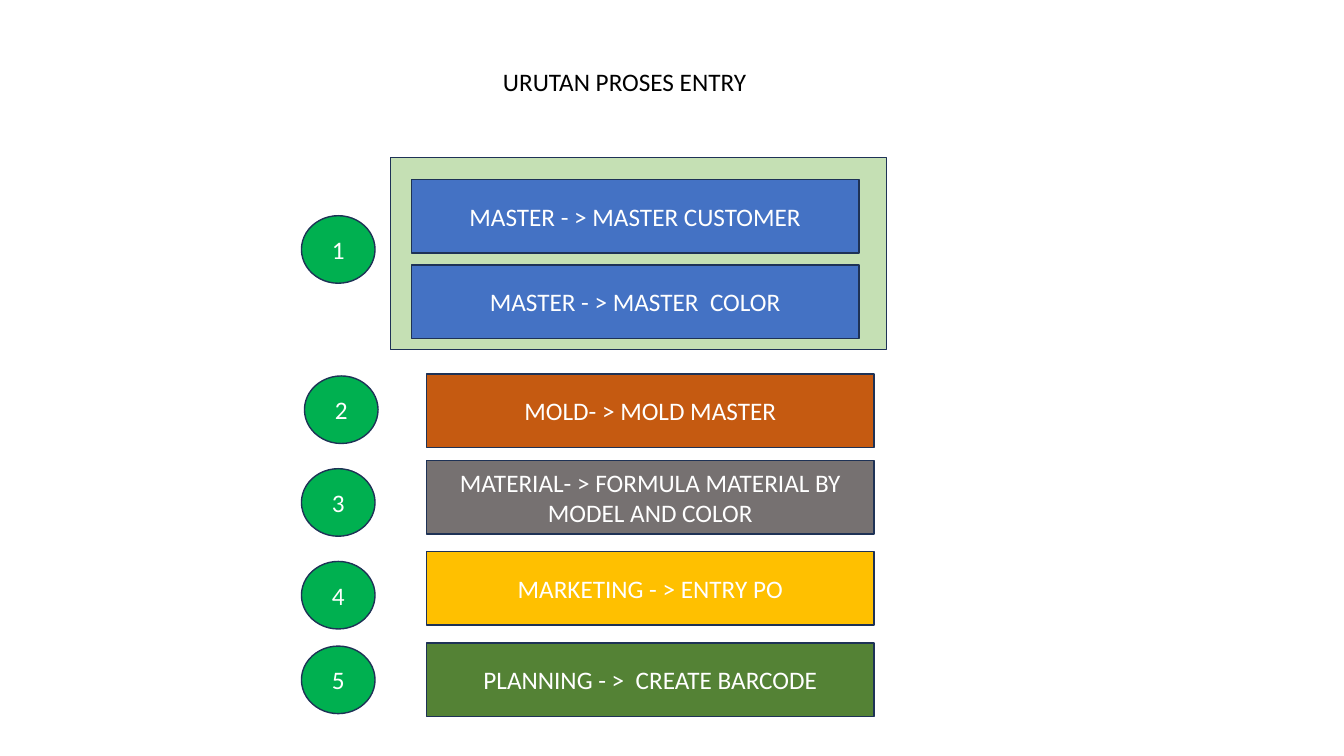
import pptx
import pptx.util
import pptx.dml.color
import pptx.enum.shapes
import pptx.enum.text

Inches = pptx.util.Inches
Pt = pptx.util.Pt
RGBColor = pptx.dml.color.RGBColor
MSO_SHAPE = pptx.enum.shapes.MSO_SHAPE

WHITE = RGBColor(0xFF, 0xFF, 0xFF)
BLACK = RGBColor(0x00, 0x00, 0x00)
NAVY = RGBColor(0x1E, 0x32, 0x56)
PALE_GREEN = RGBColor(0xC5, 0xE0, 0xB4)
BLUE = RGBColor(0x44, 0x72, 0xC4)
ORANGE = RGBColor(0xC5, 0x5A, 0x11)
GRAY = RGBColor(0x76, 0x71, 0x71)
GOLD = RGBColor(0xFF, 0xC0, 0x00)
OLIVE = RGBColor(0x54, 0x82, 0x35)
GREEN = RGBColor(0x00, 0xB0, 0x50)

TITLE = "URUTAN PROSES ENTRY"
MASTER_LEFT, STEP_LEFT = 4.08, 4.23
STEPS = [
    ("MASTER - > MASTER CUSTOMER", MASTER_LEFT, 1.78, BLUE),
    ("MASTER - > MASTER  COLOR", MASTER_LEFT, 2.63, BLUE),
    ("MOLD- > MOLD MASTER", STEP_LEFT, 3.71, ORANGE),
    ("MATERIAL- > FORMULA MATERIAL BY MODEL AND COLOR", STEP_LEFT, 4.57, GRAY),
    ("MARKETING - > ENTRY PO", STEP_LEFT, 5.47, GOLD),
    ("PLANNING - >  CREATE BARCODE", STEP_LEFT, 6.38, OLIVE),
]
NUMBER_POSITIONS = [(2.99, 2.14), (3.02, 3.73), (2.99, 4.65), (2.99, 5.57), (2.99, 6.41)]


def write(shape, text, color, alignment):
    paragraph = shape.text_frame.paragraphs[0]
    paragraph.text = text
    paragraph.alignment = alignment
    paragraph.font.name = "Calibri"
    paragraph.font.size = Pt(18)
    paragraph.font.color.rgb = color


def add_block(slide, kind, left, top, width, height, fill, text=""):
    shape = slide.shapes.add_shape(
        kind, Inches(left), Inches(top), Inches(width), Inches(height))
    shape.shadow.inherit = False
    shape.fill.solid()
    shape.fill.fore_color.rgb = fill
    shape.line.color.rgb = NAVY
    shape.line.width = Pt(1)
    if text:
        shape.text_frame.word_wrap = True
        shape.text_frame.vertical_anchor = pptx.enum.text.MSO_ANCHOR.MIDDLE
        write(shape, text, WHITE, pptx.enum.text.PP_ALIGN.CENTER)


def main():
    presentation = pptx.Presentation()
    presentation.slide_width = Inches(13.33)
    presentation.slide_height = Inches(7.5)
    slide = presentation.slides.add_slide(presentation.slide_layouts[6])

    add_block(slide, MSO_SHAPE.RECTANGLE, 3.87, 1.56, 4.92, 1.91, PALE_GREEN)
    for text, left, top, fill in STEPS:
        add_block(slide, MSO_SHAPE.RECTANGLE, left, top, 4.44, 0.73, fill, text)
    for number, (left, top) in enumerate(NUMBER_POSITIONS, start=1):
        add_block(slide, MSO_SHAPE.OVAL, left, top, 0.73, 0.67, GREEN, str(number))

    title = slide.shapes.add_textbox(Inches(4.89), Inches(0.61), Inches(2.63), Inches(0.4))
    title.text_frame.word_wrap = False
    title.text_frame.auto_size = pptx.enum.text.MSO_AUTO_SIZE.SHAPE_TO_FIT_TEXT
    write(title, TITLE, BLACK, pptx.enum.text.PP_ALIGN.LEFT)

    presentation.save("out.pptx")


if __name__ == "__main__":
    main()
